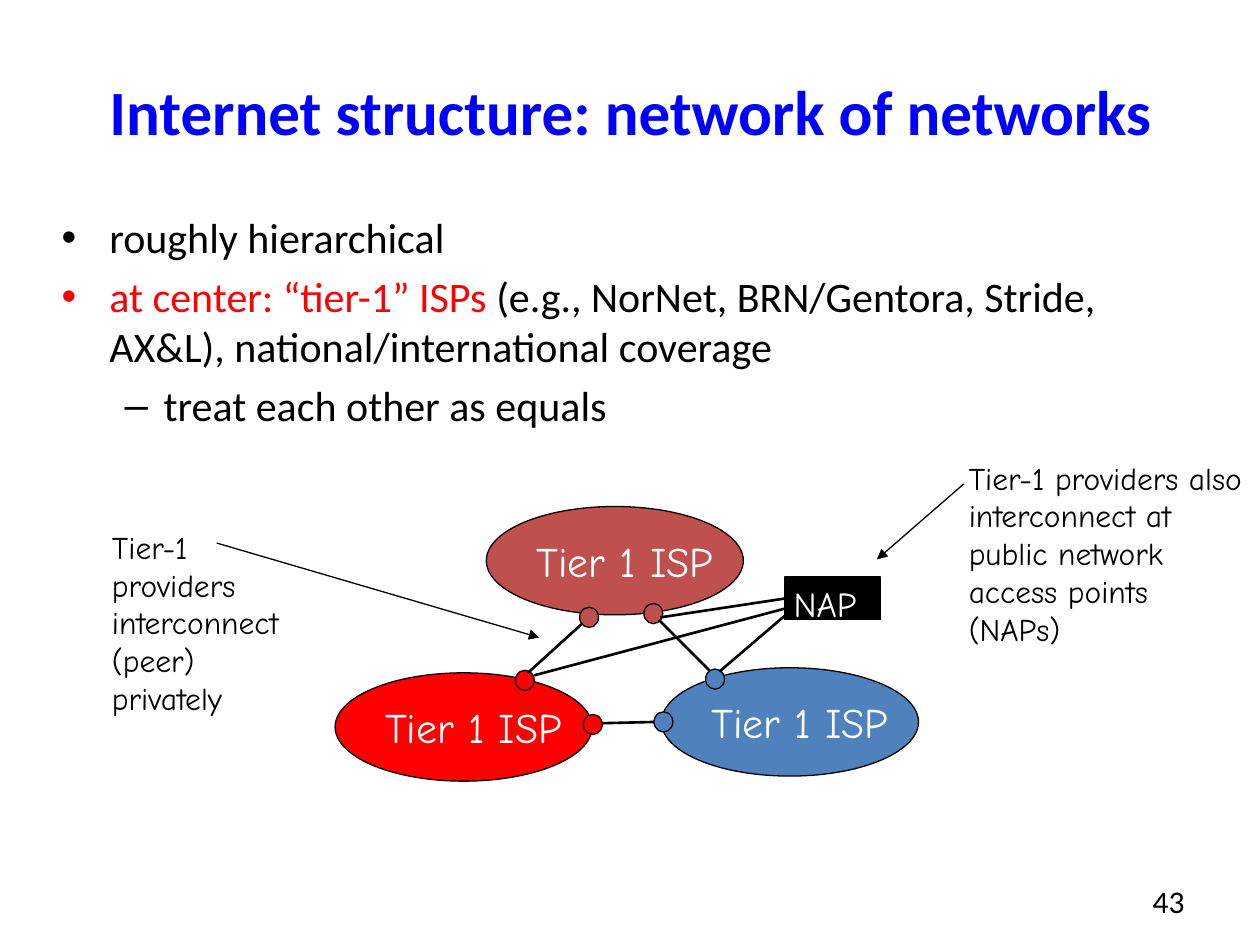
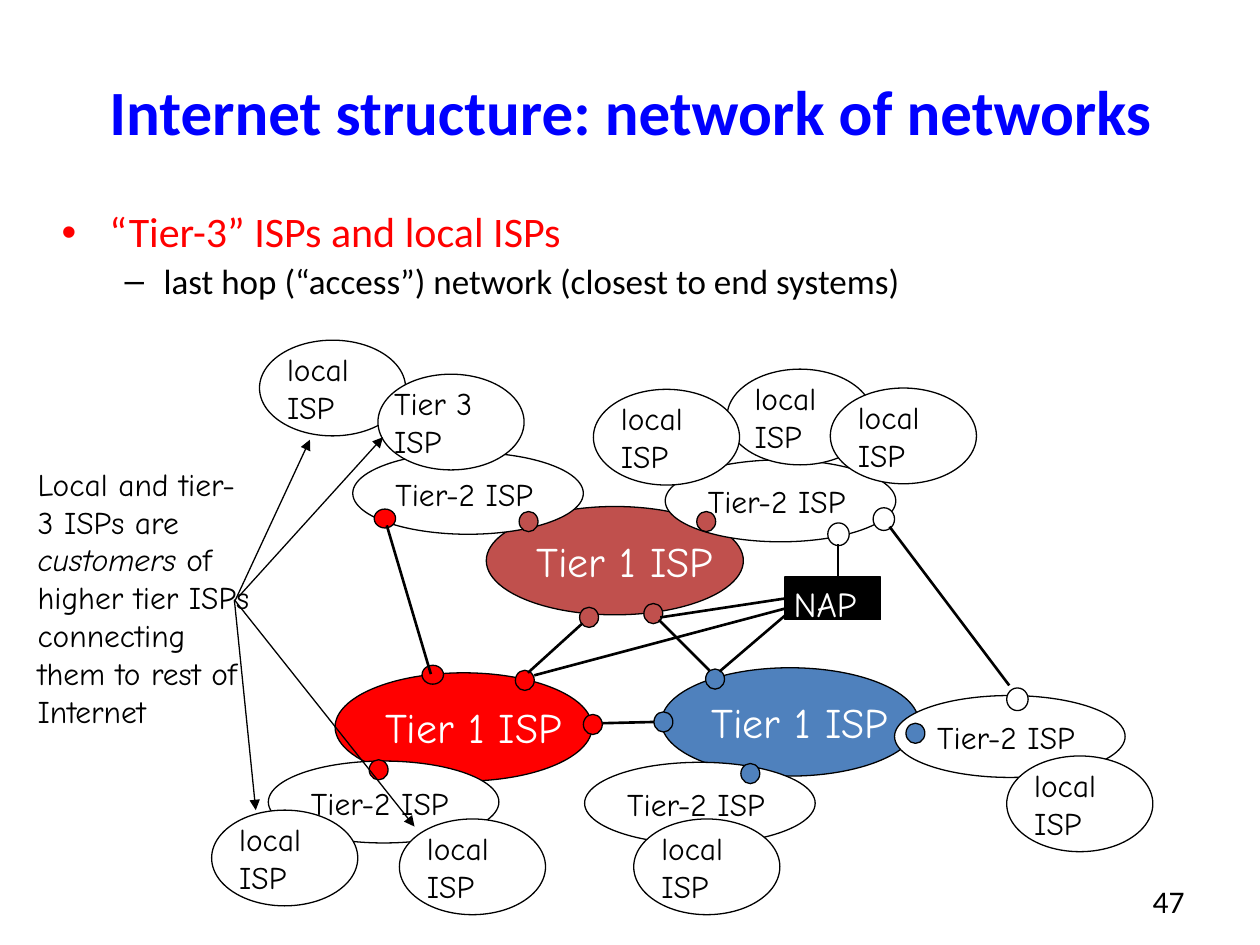
from typing import NamedTuple

from lxml import etree
from pptx import Presentation
from pptx import util as u
from pptx.dml.color import RGBColor
from pptx.enum import shapes, text
from pptx.oxml.ns import qn

COLORS = {"black": "000000", "white": "FFFFFF", "title": "0000FF",
          "red": "FF0000", "brick": "C0504D", "blue": "4F81BD"}
BODY_FONT, DIAGRAM_FONT = "Calibri", "Comic Neue"
TITLE = "Internet structure: network of networks"
TIER1_SIZE, TIER2_SIZE, LOCAL_SIZE = (2.04, 0.86), (1.83, 0.65), (1.16, 0.76)
DOT_SIZE, RED_PORT_SIZE, WHITE_PORT_SIZE = (0.15, 0.16), (0.17, 0.15), (0.17, 0.18)


class Node(NamedTuple):
    x: float
    y: float
    color: str


class Isp(NamedTuple):
    """A white network ellipse whose label is shifted by (dx, dy)."""
    x: float
    y: float
    label: str
    size: tuple[float, float]
    label_size: tuple[float, float]
    dx: float
    dy: float


class Link(NamedTuple):
    x1: float
    y1: float
    x2: float
    y2: float
    width: float = 1.5
    arrow: bool = False


class Run(NamedTuple):
    text: str
    color: str = "black"
    italic: bool = False


class Bullet(NamedTuple):
    runs: list[Run]
    size: float = 24
    level: int = 0


def tier2(x: float, y: float) -> Isp:
    return Isp(x, y, "Tier-2 ISP", TIER2_SIZE, (1.47, 0.4), 0.24, 0.13)


def local(x: float, y: float) -> Isp:
    return Isp(x, y, "local\nISP", LOCAL_SIZE, (0.73, 0.7), 0.12, 0.03)


def arrow(x1: float, y1: float, x2: float, y2: float) -> Link:
    return Link(x1, y1, x2, y2, 0.75, True)


TIER1 = [Node(2.66, 5.34, "red"), Node(3.86, 4.02, "brick"), Node(5.25, 5.3, "blue")]
PEER_DOTS = [Node(5.6, 5.31, "blue"), Node(5.11, 4.79, "brick"), Node(4.6, 4.82, "brick"),
             Node(4.09, 5.32, "red"), Node(4.63, 5.67, "red"), Node(5.19, 5.65, "blue")]
PEER_LINKS = [Link(4.78, 5.74, 5.19, 5.73), Link(5.23, 4.92, 5.63, 5.32),
              Link(4.19, 5.34, 4.62, 4.95)]
NAP_LINKS = [Link(6.26, 4.86, 5.71, 5.33), Link(6.23, 4.83, 4.24, 5.36)]
NAP_MAIN_LINK = Link(6.23, 4.75, 5.24, 4.9)

TIER2 = [(tier2(5.28, 3.65), Node(5.53, 4.06, "brick")),
         (tier2(2.8, 3.59), Node(4.12, 4.06, "brick")),
         (tier2(2.13, 6.04), Node(2.93, 6.03, "red")),
         (tier2(4.64, 6.05), Node(5.88, 6.06, "blue")),
         (tier2(7.1, 5.52), Node(7.19, 5.74, "blue"))]
RED_PORTS = [Node(2.97, 4.04, "red"), Node(3.35, 5.28, "red")]
WHITE_PORTS = [Node(6.93, 4.03, "white"), Node(7.99, 5.46, "white"),
               Node(6.57, 4.15, "white")]
PORT_LINKS = [Link(3.07, 4.17, 3.42, 5.35), Link(7.06, 4.18, 8.01, 5.44),
              Link(6.65, 4.32, 6.65, 4.58, 0.75)]
ACCESS_ISPS = [local(5.77, 2.93), local(4.71, 3.09), local(6.59, 3.08),
               local(1.68, 6.43), local(2.06, 2.7),
               Isp(3, 2.97, "Tier 3\nISP", LOCAL_SIZE, (0.93, 0.7), 0.03, 0.03),
               local(3.17, 6.5), local(5.03, 6.5), local(7.99, 6)]
CUSTOMER_ARROWS = [arrow(1.86, 4.78, 2.46, 3.49), arrow(1.89, 4.74, 3.04, 3.47),
                   arrow(1.86, 4.76, 2.03, 6.43), arrow(1.86, 4.76, 3.29, 6.56)]


def rgb(name: str) -> RGBColor:
    return RGBColor.from_string(COLORS[name])


def format_run(r, font: str, size: float, color: str,
               bold: bool = False, italic: bool = False) -> None:
    r.font.name, r.font.size = font, u.Pt(size)
    r.font.bold, r.font.italic = bold, italic
    r.font.color.rgb = rgb(color)


def format_frame(tf, font: str, size: float, color: str,
                 align=text.PP_ALIGN.LEFT, bold: bool = False) -> None:
    for p in tf.paragraphs:
        p.alignment = align
        for r in p.runs:
            format_run(r, font, size, color, bold)


def add_box(s, x: float, y: float, w: float, h: float, wrap: bool = True, grow: bool = False):
    tf = s.shapes.add_textbox(*map(u.Inches, (x, y, w, h))).text_frame
    tf.word_wrap = wrap
    if grow:
        tf.auto_size = text.MSO_AUTO_SIZE.SHAPE_TO_FIT_TEXT
    return tf


def add_label(s, label: str, x: float, y: float, size: tuple[float, float],
              points: float, color: str) -> None:
    tf = add_box(s, x, y, *size, wrap=False, grow=True)
    tf.text = label
    format_frame(tf, DIAGRAM_FONT, points, color)


def add_note(s, x: float, y: float, w: float, h: float, paragraphs: list[list[Run]]) -> None:
    tf = add_box(s, x, y, w, h, grow=True)
    for i, runs in enumerate(paragraphs):
        p = tf.add_paragraph() if i else tf.paragraphs[0]
        add_runs(p, runs, DIAGRAM_FONT, 18)


def add_runs(p, runs: list[Run], font: str, size: float) -> None:
    for run in runs:
        r = p.add_run()
        r.text = run.text
        format_run(r, font, size, run.color, italic=run.italic)


def add_filled(s, node: Node, size: tuple[float, float], kind=shapes.MSO_SHAPE.OVAL):
    sp = s.shapes.add_shape(kind, *map(u.Inches, (node.x, node.y, *size)))
    sp.shadow.inherit = False
    sp.fill.solid()
    sp.fill.fore_color.rgb = rgb(node.color)
    sp.line.color.rgb = rgb("black")
    sp.line.width = u.Pt(0.75)
    return sp


def add_dots(s, nodes: list[Node], size: tuple[float, float] = DOT_SIZE) -> None:
    for node in nodes:
        add_filled(s, node, size)


def add_isp(s, isp: Isp) -> None:
    add_filled(s, Node(isp.x, isp.y, "white"), isp.size)
    add_label(s, isp.label, isp.x + isp.dx, isp.y + isp.dy, isp.label_size, 18, "black")


def add_link(s, link: Link):
    cx = s.shapes.add_connector(shapes.MSO_CONNECTOR.STRAIGHT, *map(u.Inches, link[:4]))
    cx.line.color.rgb = rgb("black")
    cx.line.width = u.Pt(link.width)
    if link.arrow:
        etree.SubElement(cx.line._get_or_add_ln(), qn("a:tailEnd"), type="triangle")
    etree.SubElement(cx._element.spPr, qn("a:effectLst"))
    return cx


def add_links(s, links: list[Link]) -> None:
    for link in links:
        add_link(s, link)


def add_bullets(s, height: float, bullets: list[Bullet], spacing: float = 1.0) -> None:
    tf = add_box(s, 0.39, 1.56, 9.23, height)
    tf.margin_top = u.Inches(0.12)
    for i, bullet in enumerate(bullets):
        p = tf.add_paragraph() if i else tf.paragraphs[0]
        p.level = bullet.level
        margin, hang, mark = [(0.38, 0.38, "•"), (0.81, 0.31, "–")][bullet.level]
        pPr = p._p.get_or_add_pPr()
        pPr.set("marL", str(u.Inches(margin)))
        pPr.set("indent", str(-u.Inches(hang)))
        etree.SubElement(pPr, qn("a:buFont"), typeface="Arial")
        etree.SubElement(pPr, qn("a:buChar"), char=mark)
        p.line_spacing = spacing
        if i:
            p.space_before = u.Pt(bullet.size * 0.2)
        add_runs(p, bullet.runs, BODY_FONT, bullet.size)


def add_base_slide(prs, number: int):
    """Add a slide with the shared title and its page number."""
    s = prs.slides.add_slide(prs.slide_layouts[6])
    tf = add_box(s, 0.58, 0.25, 8.85, 1.25)
    tf.vertical_anchor = text.MSO_ANCHOR.MIDDLE
    tf.text = TITLE
    format_frame(tf, BODY_FONT, 36, "title", text.PP_ALIGN.CENTER, bold=True)
    tf = add_box(s, 7.17, 6.95, 2.33, 0.4)
    tf.text = str(number)
    format_frame(tf, BODY_FONT, 18, "black", text.PP_ALIGN.RIGHT)
    return s


def add_backbone(s) -> None:
    """Draw the three tier-1 networks, their peering and the access point."""
    for node in TIER1:
        tf = add_filled(s, node, TIER1_SIZE).text_frame
        tf.word_wrap = False
        tf.vertical_anchor = text.MSO_ANCHOR.MIDDLE
        tf.text = "Tier 1 ISP"
        format_frame(tf, DIAGRAM_FONT, 24, "white")
    add_dots(s, PEER_DOTS)
    add_links(s, PEER_LINKS)
    nap = add_filled(s, Node(6.23, 4.58, "black"), (0.76, 0.34), shapes.MSO_SHAPE.RECTANGLE)
    add_label(s, "NAP", 6.2, 4.57, (0.77, 0.43), 20, "white")
    add_links(s, NAP_LINKS)
    add_link(s, NAP_MAIN_LINK).begin_connect(nap, 1)


def build_tier1_slide(prs) -> None:
    s = add_base_slide(prs, 43)
    add_bullets(s, 5.08, [
        Bullet([Run("roughly hierarchical")]),
        Bullet([Run("at center: “tier-1” ISPs ", "red"),
                Run("(e.g., NorNet, BRN/Gentora, Stride, "
                    "AX&L), national/international coverage")]),
        Bullet([Run("treat each other as equals")], level=1)])
    add_backbone(s)
    add_note(s, 0.79, 4.14, 1.71, 1.6,
             [[Run("Tier-1 providers interconnect (peer) privately")]])
    add_note(s, 7.59, 3.59, 2.41, 1.6,
             [[Run("Tier-1 providers also interconnect at public network "
                   "access points (NAPs)")]])
    add_links(s, [arrow(1.72, 4.31, 4.28, 5.06), arrow(7.65, 3.84, 6.96, 4.44)])


def build_tier3_slide(prs) -> None:
    s = add_base_slide(prs, 47)
    add_bullets(s, 1, [
        Bullet([Run("“Tier-3” ISPs and local ISPs", "red")]),
        Bullet([Run("last hop (“access”) network (closest to end systems)")], 20, 1)],
        spacing=0.9)
    add_backbone(s)
    for isp, dot in TIER2:
        add_isp(s, isp)
        add_dots(s, [dot])
    add_dots(s, RED_PORTS, RED_PORT_SIZE)
    add_dots(s, WHITE_PORTS, WHITE_PORT_SIZE)
    add_links(s, PORT_LINKS)
    for isp in ACCESS_ISPS:
        add_isp(s, isp)
    add_note(s, 0.2, 3.64, 1.97, 2.5, [
        [Run("Local and tier- 3 ISPs are "), Run("customers", italic=True), Run(" of")],
        [Run("higher tier ISPs")],
        [Run("connecting them to rest of Internet")]])
    add_links(s, CUSTOMER_ARROWS)


def main() -> None:
    prs = Presentation()
    prs.slide_width, prs.slide_height = u.Inches(10), u.Inches(7.5)
    build_tier1_slide(prs)
    build_tier3_slide(prs)
    prs.save("out.pptx")


if __name__ == "__main__":
    main()
